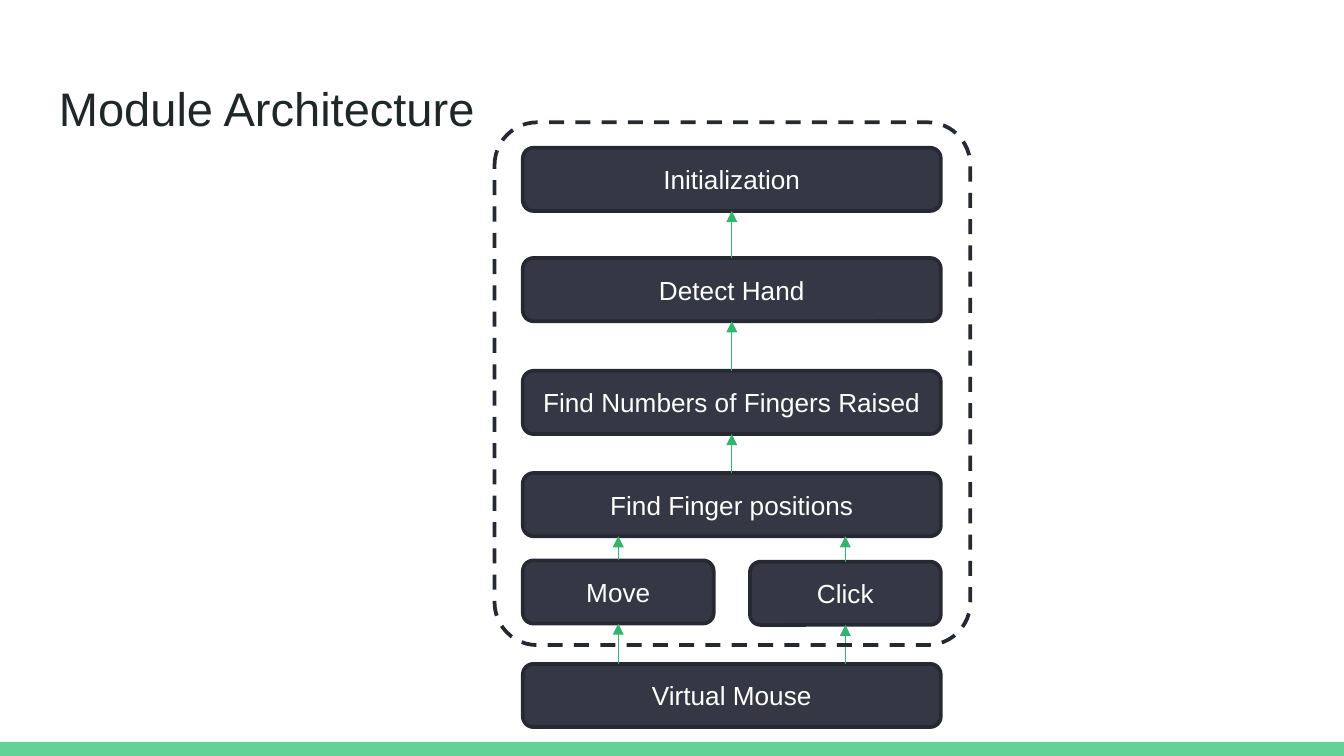
from lxml import etree
from pptx import Presentation
from pptx.dml.color import RGBColor
from pptx.enum import dml, shapes, text
from pptx.oxml import ns
from pptx.util import Inches, Pt

LEFT, WIDE, HALF, HIGH = 3.89, 3.11, 1.42, 0.47
RIGHT = LEFT + WIDE - HALF
FILL, EDGE, GREEN = "353744", "272932", "34B470"


def color(code):
    return RGBColor.from_string(code)


def write(frame, words, size=14, ink="FFFFFF", align=text.PP_ALIGN.CENTER,
          anchor=text.MSO_ANCHOR.MIDDLE):
    frame.word_wrap = True
    frame.vertical_anchor = anchor
    para = frame.paragraphs[0]
    para.alignment = align
    run = para.add_run()
    run.text = words
    run.font.name = "Arial"
    run.font.size = Pt(size)
    run.font.color.rgb = color(ink)


def shape(slide, kind, x, y, w, h, fill=None, edge=None):
    item = slide.shapes.add_shape(kind, Inches(x), Inches(y), Inches(w), Inches(h))
    item.shadow.inherit = False
    if fill:
        item.fill.solid()
        item.fill.fore_color.rgb = color(fill)
    else:
        item.fill.background()
    if edge:
        item.line.color.rgb = color(edge)
        item.line.width = Pt(2)
    else:
        item.line.fill.background()
    return item


def step(slide, words, x, y, w):
    box = shape(slide, shapes.MSO_SHAPE.ROUNDED_RECTANGLE, x, y, w, HIGH, FILL, EDGE)
    write(box.text_frame, words)


def arrow(slide, x, start, end):
    line = slide.shapes.add_connector(
        shapes.MSO_CONNECTOR.STRAIGHT, Inches(x), Inches(start), Inches(x), Inches(end))
    line.line.color.rgb = color(GREEN)
    line.line.width = Pt(0.75)
    stroke = line._element.spPr.find(ns.qn("a:ln"))
    etree.SubElement(stroke, ns.qn("a:tailEnd"), type="triangle")
    etree.SubElement(line._element.spPr, ns.qn("a:effectLst"))


def title(slide, words):
    box = slide.shapes.add_textbox(Inches(0.34), Inches(0.49), Inches(9.32), Inches(0.63))
    frame = box.text_frame
    frame.margin_left = frame.margin_right = Inches(0.1)
    frame.margin_top = frame.margin_bottom = Inches(0.1)
    write(frame, words, size=25.2, ink="202729", align=text.PP_ALIGN.LEFT,
          anchor=text.MSO_ANCHOR.TOP)


def main():
    deck = Presentation()
    deck.slide_width = Inches(10)
    deck.slide_height = deck.slide_width * 9 // 16
    slide = deck.slides.add_slide(deck.slide_layouts[6])
    shape(slide, shapes.MSO_SHAPE.RECTANGLE, 0, 5.52, 10, 0.11, "63D297")
    title(slide, "Module Architecture")

    stack = [
        ("Initialization", 1.1),
        ("Detect Hand", 1.92),
        ("Find Numbers of Fingers Raised", 2.76),
        ("Find Finger positions", 3.52),
    ]
    base = 4.94
    for words, y in stack + [("Virtual Mouse", base)]:
        step(slide, words, LEFT, y, WIDE)
    for (_, upper), (_, lower) in zip(stack, stack[1:]):
        arrow(slide, LEFT + WIDE / 2, lower, upper + HIGH)

    for words, x, y in [("Move", LEFT, 4.17), ("Click", RIGHT, 4.18)]:
        step(slide, words, x, y, HALF)
        mid = x + HALF / 2
        arrow(slide, mid, y, stack[-1][1] + HIGH)
        arrow(slide, mid, base, y + HIGH)

    group = shape(slide, shapes.MSO_SHAPE.ROUNDED_RECTANGLE, 3.68, 0.91, 3.54, 3.89, edge=EDGE)
    group.adjustments[0] = 0.09
    group.line.dash_style = dml.MSO_LINE.DASH
    deck.save("out.pptx")


if __name__ == "__main__":
    main()
